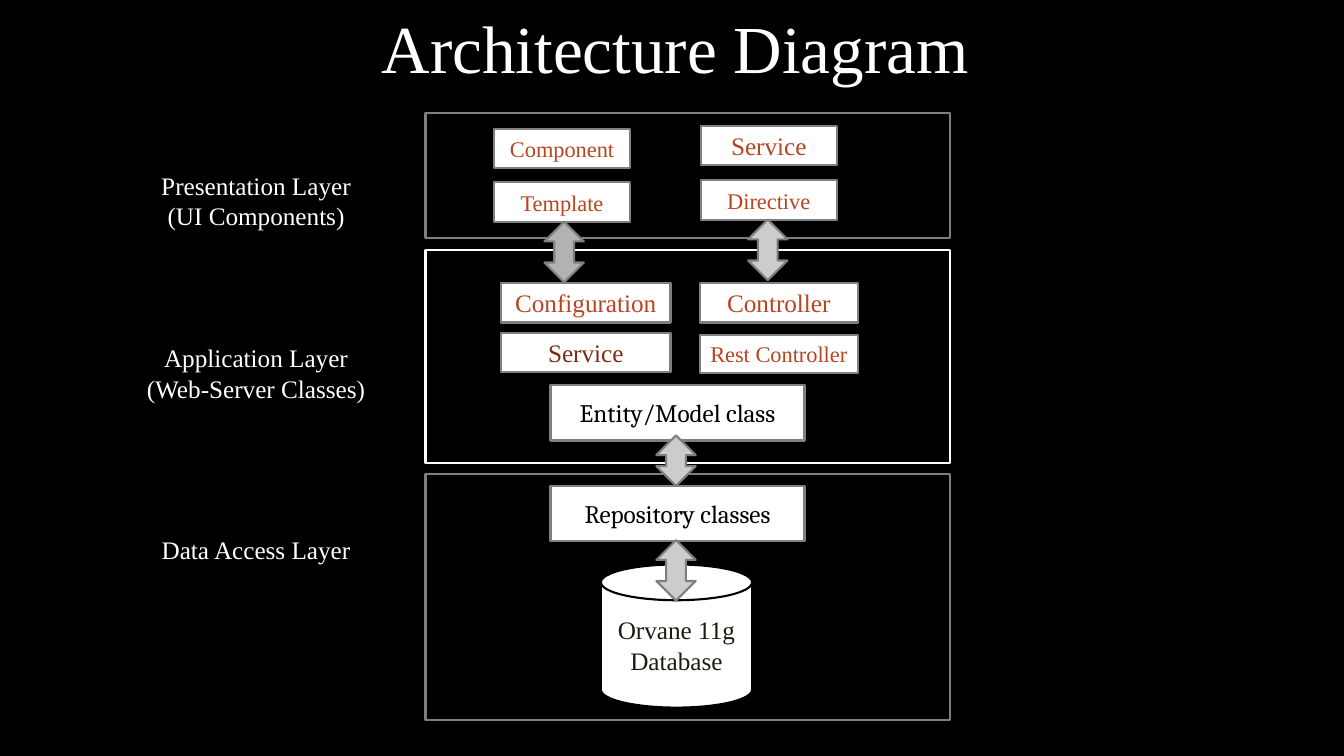
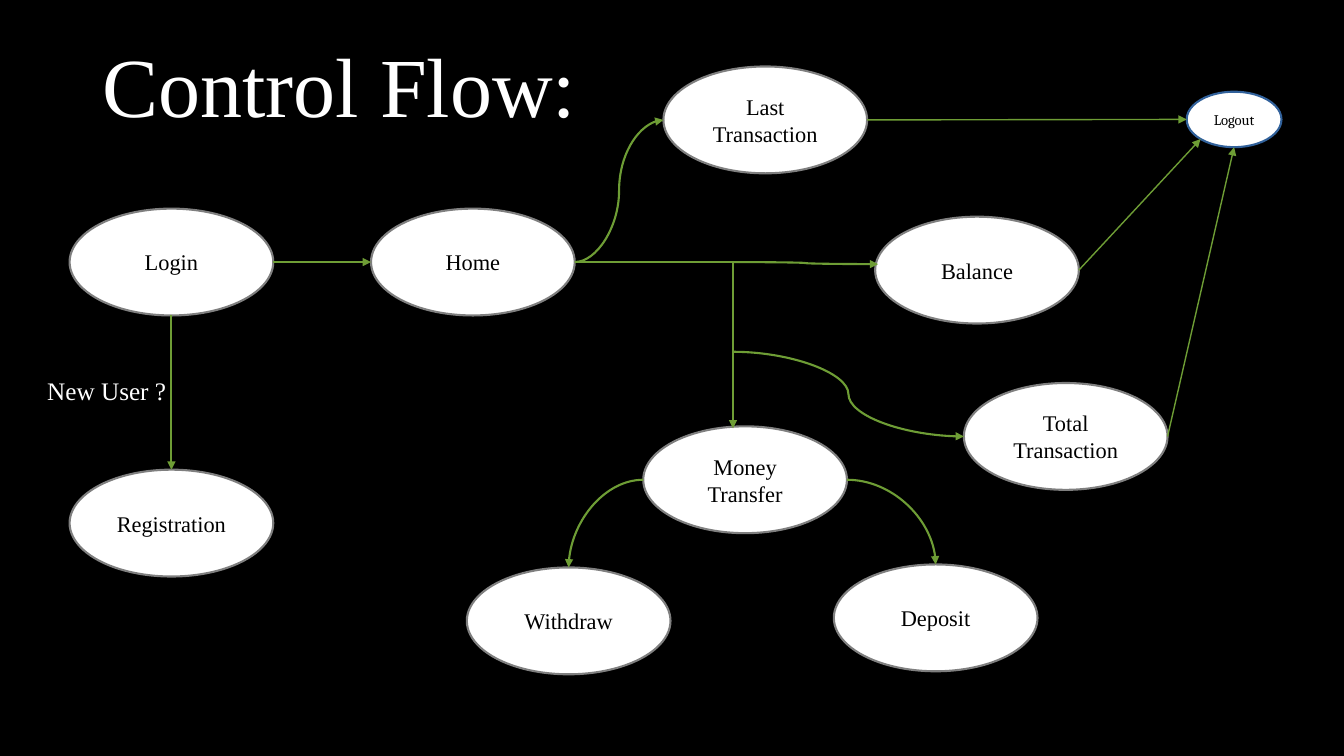
from dataclasses import dataclass
from math import sqrt

from pptx import Presentation
from pptx.dml.color import RGBColor
from pptx.enum import shapes, text
from pptx.oxml.ns import qn
from pptx.util import Inches, Pt
from lxml import etree


@dataclass(frozen=True)
class Theme:
    back: str = "000000"
    white: str = "FFFFFF"
    ink: str = "000000"
    grey: str = "7F7F7F"
    rust: str = "B84420"
    brown: str = "7B2D15"
    dark: str = "1E1C11"
    green: str = "6E9D35"
    blue: str = "31619B"
    mid: str = "B2B2B2"
    pale: str = "CCCCCC"
    serif: str = "Times New Roman"
    slab: str = "Cambria"
    head: float = 48
    big: float = 60
    body: float = 18
    small: float = 16
    tiny: float = 10.5
    edge: float = 1.5
    thin: float = 1


T = Theme()
KIND = shapes.MSO_SHAPE
LINK = shapes.MSO_CONNECTOR
ALIGN = text.PP_ALIGN
ANCHOR = text.MSO_ANCHOR


def rgb(color):
    return RGBColor.from_string(color)


def write(shape, words, size, color, font=T.serif, align=ALIGN.CENTER,
          space=None):
    frame = shape.text_frame
    frame.word_wrap = True
    frame.text = words
    for para in frame.paragraphs:
        para.alignment = align
        para.line_spacing = space
        for run in para.runs:
            run.font.size = Pt(size)
            run.font.name = font
            run.font.color.rgb = rgb(color)
    return frame


def label(slide, box, words, size=T.body, **style):
    area = slide.shapes.add_textbox(*map(Inches, box))
    return write(area, words, size, T.white, **style)


def title(slide, box, words, size, align):
    frame = label(slide, box, words, size, align=align, space=0.8)
    frame.vertical_anchor = ANCHOR.BOTTOM


def form(slide, kind, box, fill=None, line=T.grey):
    item = slide.shapes.add_shape(kind, *map(Inches, box))
    item.shadow.inherit = False
    if fill:
        item.fill.solid()
        item.fill.fore_color.rgb = rgb(fill)
    else:
        item.fill.background()
    item.line.color.rgb = rgb(line)
    item.line.width = Pt(T.edge)
    return item


def node(slide, kind, box, words, size=T.body, color=T.rust, font=T.serif,
         line=T.grey):
    """A white shape with centred text."""
    item = form(slide, kind, box, T.white, line)
    frame = write(item, words, size, color, font)
    frame.vertical_anchor = ANCHOR.MIDDLE
    return frame


def arrow(slide, start, end, kind=LINK.STRAIGHT, width=T.edge, preset=None):
    """A green arrow; preset names a connector outline with a single bend."""
    line = slide.shapes.add_connector(kind, *map(Inches, (*start, *end)))
    line.line.color.rgb = rgb(T.green)
    line.line.width = Pt(width)
    props = line._element.spPr
    if preset:
        props.find(qn("a:prstGeom")).set("prst", preset)
    etree.SubElement(props.find(qn("a:ln")), qn("a:tailEnd"), type="triangle")
    etree.SubElement(props, qn("a:effectLst"))


def new(deck):
    slide = deck.slides.add_slide(deck.slide_layouts[6])
    slide.background.fill.solid()
    slide.background.fill.fore_color.rgb = rgb(T.back)
    return slide


# Layer: top, height, edge colour, name, offset of the name, cells.
# Cell: left and top in the layer, width, height, words, then its style.
RECT = KIND.RECTANGLE
SMALL = {"size": T.small}
CLASS = {"color": T.ink, "font": T.slab}
LAYERS = [
    (0, 1.24, T.grey, "Presentation Layer\n(UI Components)", 0.52, [
        (RECT, 0.68, 0.16, 1.35, 0.39, "Component", SMALL),
        (RECT, 0.68, 0.69, 1.35, 0.39, "Template", SMALL),
        (RECT, 2.73, 0.13, 1.35, 0.39, "Service", {}),
        (RECT, 2.73, 0.67, 1.35, 0.39, "Directive", SMALL)]),
    (1.36, 2.11, T.white, "Application Layer\n(Web-Server Classes)", 0.87, [
        (RECT, 0.75, 0.33, 1.68, 0.39, "Configuration", {}),
        (RECT, 0.75, 0.82, 1.68, 0.39, "Service", {"color": T.brown}),
        (RECT, 2.72, 0.33, 1.57, 0.39, "Controller", {}),
        (RECT, 2.72, 0.84, 1.57, 0.38, "Rest Controller", SMALL),
        (RECT, 1.24, 1.34, 2.52, 0.55, "Entity/Model class", CLASS)]),
    (3.58, 2.44, T.grey, "Data Access Layer", 0.55, [
        (RECT, 1.24, 0.12, 2.52, 0.55, "Repository classes", CLASS),
        (KIND.CAN, 1.74, 0.9, 1.5, 1.42, "Orvane 11g Database",
         {"color": T.dark})]),
]
# Left, top, height, colour.
LIFTS = [(1.18, 1.08, 0.6, T.mid), (3.2, 1.06, 0.6, T.pale),
         (2.29, 3.2, 0.5, T.pale), (2.29, 4.24, 0.6, T.pale)]


def layer(slide, x, y, wide, high, edge, name, drop, cells):
    form(slide, RECT, (x, y, wide, high), line=edge)
    label(slide, (x - 2.98, y + drop, 2.6, 0.7), name)
    for kind, left, top, w, h, words, style in cells:
        frame = node(slide, kind, (x + left, y + top, w, h), words, **style)
        frame.margin_left = frame.margin_right = Inches(0.05)
        if kind == KIND.CAN:
            frame.margin_left = frame.margin_right = Inches(0.1)
            shape_line(slide.shapes[-1])


def shape_line(shape):
    shape.line.color.rgb = rgb(T.ink)


def stack(slide, x, y, wide):
    """Layers from top to bottom, joined by double arrows."""
    for top, *rest in LAYERS:
        layer(slide, x, y + top, wide, *rest)
    for left, top, high, fill in LIFTS:
        form(slide, KIND.UP_DOWN_ARROW, (x + left, y + top, 0.39, high), fill)


# Left and top of each step.
STEPS = {
    "Login": (0.69, 2.07), "Registration": (0.69, 4.66),
    "Home": (3.68, 2.07), "Last Transaction": (6.58, 0.66),
    "Balance": (8.68, 2.15), "Total Transaction": (9.56, 3.8),
    "Money Transfer": (6.38, 4.23), "Withdraw": (4.63, 5.63),
    "Deposit": (8.27, 5.6),
}
STEP = (2.02, 1.06)
DIAG = sqrt(0.5)
SIDES = {"left": (-1, 0), "right": (1, 0), "top": (0, -1),
         "bottom": (0, 1), "corner": (-DIAG, DIAG)}


def flow(slide, x, y):
    """Steps as ellipses, with the arrows between them."""
    boxes = {name: (x + left, y + top, *STEP)
             for name, (left, top) in STEPS.items()}
    for name, box in boxes.items():
        node(slide, KIND.OVAL, box, name, T.small, T.ink)
    boxes["Logout"] = (x + 11.77, y + 0.91, 0.94, 0.55)
    node(slide, KIND.OVAL, boxes["Logout"], "Logout", T.tiny, T.ink, T.slab,
         T.blue)

    def rim(name, side):
        left, top, w, h = boxes[name]
        dx, dy = SIDES[side]
        return left + w / 2 * (1 + dx), top + h / 2 * (1 + dy)

    home = rim("Home", "right")
    fork = x + 7.27
    arrow(slide, rim("Login", "right"), rim("Home", "left"), LINK.ELBOW)
    arrow(slide, rim("Login", "bottom"), rim("Registration", "top"))
    arrow(slide, home, (fork, y + 4.25), LINK.ELBOW, preset="bentConnector2")
    arrow(slide, home, rim("Last Transaction", "left"), LINK.CURVE)
    arrow(slide, (fork, home[1]), (x + 8.71, y + 2.62), LINK.CURVE)
    arrow(slide, (fork, y + 3.49), rim("Total Transaction", "left"),
          LINK.CURVE)
    for side, name in (("right", "Deposit"), ("left", "Withdraw")):
        arrow(slide, rim("Money Transfer", side), rim(name, "top"),
              LINK.CURVE, preset="curvedConnector2")
    for name, side in (("Last Transaction", "left"), ("Balance", "corner"),
                       ("Total Transaction", "bottom")):
        arrow(slide, rim(name, "right"), rim("Logout", side), width=T.thin)
    label(slide, (x + 0.37, y + 3.67, 1.45, 0.4), "New User ?",
          align=ALIGN.LEFT)


def main():
    deck = Presentation()
    deck.slide_width, deck.slide_height = Inches(13.33), Inches(7.5)

    slide = new(deck)
    title(slide, (1.7, 0.36, 10, 0.55), "Architecture Diagram", T.head,
          ALIGN.CENTER)
    stack(slide, 4.22, 1.12, 5.2)

    slide = new(deck)
    title(slide, (0.92, 0.12, 10.5, 1.25), "Control Flow:", T.big, ALIGN.LEFT)
    flow(slide, 0, 0)

    deck.save("out.pptx")


if __name__ == "__main__":
    main()
